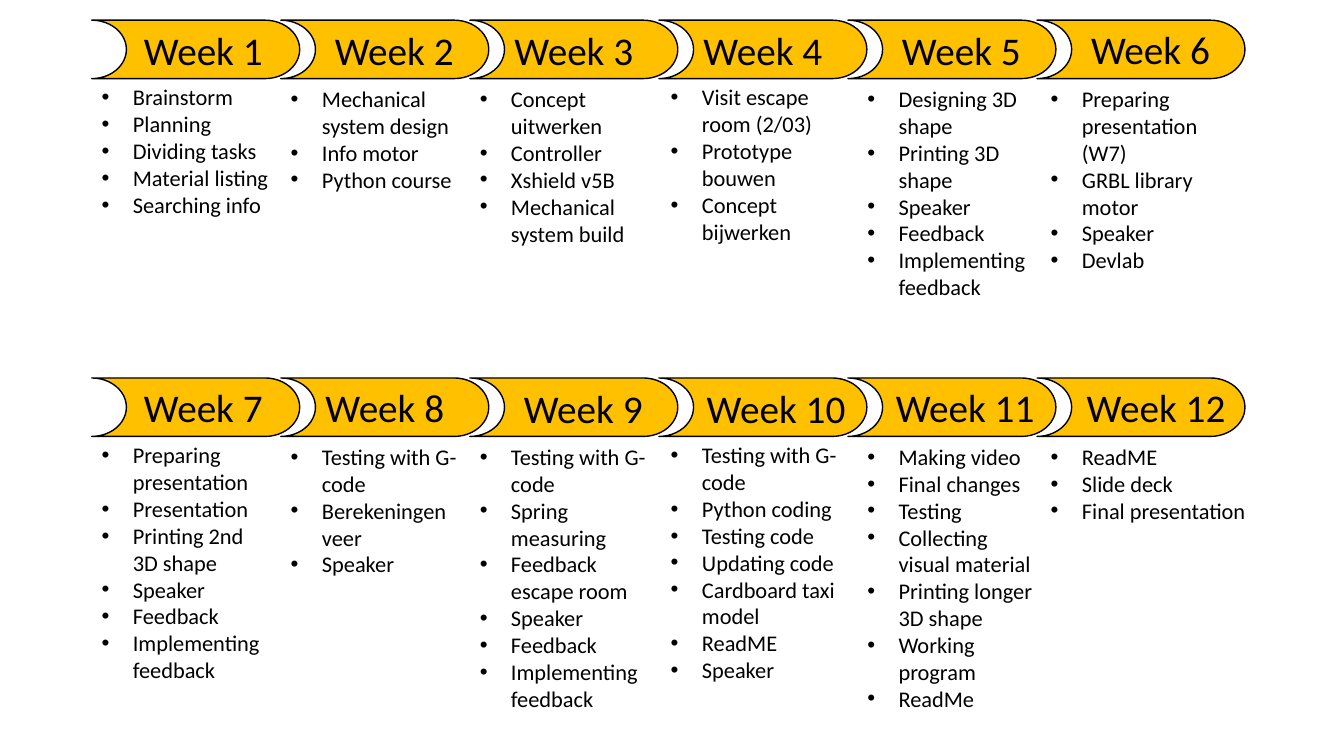
from dataclasses import dataclass

import lxml.etree
import pptx
import pptx.dml.color
import pptx.enum.shapes
import pptx.enum.text
import pptx.oxml.ns
import pptx.slide
import pptx.text.text
import pptx.util


@dataclass(frozen=True)
class Theme:
    font: str = "Calibri"
    ribbon: str = "FFC000"
    ink: str = "000000"
    title_size: int = 28
    task_size: int = 16
    outline: float = 1
    indent: float = 0.31


@dataclass(frozen=True)
class Grid:
    """Columns are weeks; one row is the height of a ribbon (in inches)."""
    left: float = 0.91
    top: float = 0.2
    column: float = 1.875
    row: float = 0.58
    band_rows: float = 6.12
    weeks_per_band: int = 6


@dataclass(frozen=True)
class Box:
    """A place on the grid, in columns and rows."""
    column: float
    row: float
    columns: float
    rows: float


@dataclass(frozen=True)
class Week:
    tasks: tuple[str, ...]
    task_rows: float
    title_shift: float = 0.19
    title_drop: float = 0
    title_columns: float = 0.82
    task_columns: float = 1


THEME = Theme()
GRID = Grid()
RIBBON_COLUMNS = 1.1
TITLE_ROWS = 0.98
# Offsets of the task lists within each of the six columns
TASK_SHIFTS = (0, 0, 0, 0.01, 0.05, 0.02)
TASK_DROPS = (1, 1.03, 1.03, 1, 1.03, 1.03)

# Project planning
WEEKS = (
    Week(("Brainstorm", "Planning", "Dividing tasks", "Material listing", "Searching info"),
         3.02, title_shift=0.18, title_drop=0.02),
    Week(("Mechanical system design", "Info motor", "Python course"),
         2.5, title_drop=0.02),
    Week(("Concept uitwerken", "Controller", "Xshield v5B", "Mechanical system build"),
         3.9, title_shift=0.14, title_drop=0.02),
    Week(("Visit escape room (2/03)", "Prototype bouwen", "Concept bijwerken"),
         3.9, title_shift=0.14, title_drop=0.02),
    Week(("Designing 3D shape", "Printing 3D shape", "Speaker", "Feedback",
          "Implementing feedback"), 4.34, title_drop=0.02),
    Week(("Preparing presentation (W7)", "GRBL library motor", "Speaker", "Devlab"), 4.34),
    Week(("Preparing presentation", "Presentation", "Printing 2nd 3D shape", "Speaker",
          "Feedback", "Implementing feedback"), 6.21, title_shift=0.18),
    Week(("Testing with G-code", "Berekeningen veer", "Speaker"), 3.9, title_shift=0.14),
    Week(("Testing with G-code", "Spring measuring", "Feedback escape room", "Speaker",
          "Feedback", "Implementing feedback"), 6.21, title_drop=0.02),
    Week(("Testing with G-code", "Python coding", "Testing code", "Updating code",
          "Cardboard taxi model", "ReadME", "Speaker"),
         5.28, title_drop=0.02, title_columns=0.86),
    Week(("Making video", "Final changes", "Testing", "Collecting visual material",
          "Printing longer 3D shape", "Working program", "ReadMe"),
         5.28, title_columns=0.86),
    Week(("ReadME", "Slide deck", "Final presentation"),
         1.57, title_shift=0.2, title_columns=0.86, task_columns=1.32),
)


def place(box: Box) -> tuple[int, int, int, int]:
    """Turn a grid box into left, top, width and height."""
    return (
        pptx.util.Inches(GRID.left + box.column * GRID.column),
        pptx.util.Inches(GRID.top + box.row * GRID.row),
        pptx.util.Inches(box.columns * GRID.column),
        pptx.util.Inches(box.rows * GRID.row),
    )


def color(value: str) -> pptx.dml.color.RGBColor:
    return pptx.dml.color.RGBColor.from_string(value)


def draw_ribbon(slide: pptx.slide.Slide, box: Box) -> None:
    ribbon = slide.shapes.add_shape(
        pptx.enum.shapes.MSO_SHAPE.FLOWCHART_STORED_DATA, *place(box))
    ribbon.rotation = 180
    ribbon.shadow.inherit = False
    ribbon.fill.solid()
    ribbon.fill.fore_color.rgb = color(THEME.ribbon)
    ribbon.line.color.rgb = color(THEME.ink)
    ribbon.line.width = pptx.util.Pt(THEME.outline)


def add_bullet(paragraph: pptx.text.text._Paragraph) -> None:
    properties = paragraph._p.get_or_add_pPr()
    indent = pptx.util.Inches(THEME.indent)
    properties.set("marL", str(indent))
    properties.set("indent", str(-indent))
    for tag, attribute, value in (("a:buFont", "typeface", "Arial"), ("a:buChar", "char", "•")):
        bullet = lxml.etree.SubElement(properties, pptx.oxml.ns.qn(tag))
        bullet.set(attribute, value)


def draw_text(slide: pptx.slide.Slide, box: Box, lines: tuple[str, ...],
              size: int, bulleted: bool) -> None:
    frame = slide.shapes.add_textbox(*place(box)).text_frame
    frame.word_wrap = True
    frame.auto_size = pptx.enum.text.MSO_AUTO_SIZE.SHAPE_TO_FIT_TEXT
    frame.text = "\n".join(lines)
    for paragraph in frame.paragraphs:
        paragraph.font.name = THEME.font
        paragraph.font.size = pptx.util.Pt(size)
        paragraph.font.color.rgb = color(THEME.ink)
        if bulleted:
            add_bullet(paragraph)
        else:
            paragraph.alignment = pptx.enum.text.PP_ALIGN.CENTER


def main() -> None:
    presentation = pptx.Presentation()
    presentation.slide_width = pptx.util.Inches(13.33)
    presentation.slide_height = pptx.util.Inches(7.5)
    slide = presentation.slides.add_slide(presentation.slide_layouts[6])

    # Ribbons go first, so that no ribbon covers a neighbouring title
    cells = [divmod(index, GRID.weeks_per_band) for index in range(len(WEEKS))]
    for band, column in cells:
        draw_ribbon(slide, Box(column, band * GRID.band_rows, RIBBON_COLUMNS, 1))

    # Week titles and their task lists
    for number, (week, (band, column)) in enumerate(zip(WEEKS, cells), start=1):
        row = band * GRID.band_rows
        title = Box(column + week.title_shift, row + week.title_drop,
                    week.title_columns, TITLE_ROWS)
        tasks = Box(column + TASK_SHIFTS[column], row + TASK_DROPS[column],
                    week.task_columns, week.task_rows)
        draw_text(slide, title, (f"Week {number}",), THEME.title_size, bulleted=False)
        draw_text(slide, tasks, week.tasks, THEME.task_size, bulleted=True)

    presentation.save("out.pptx")


if __name__ == "__main__":
    main()
